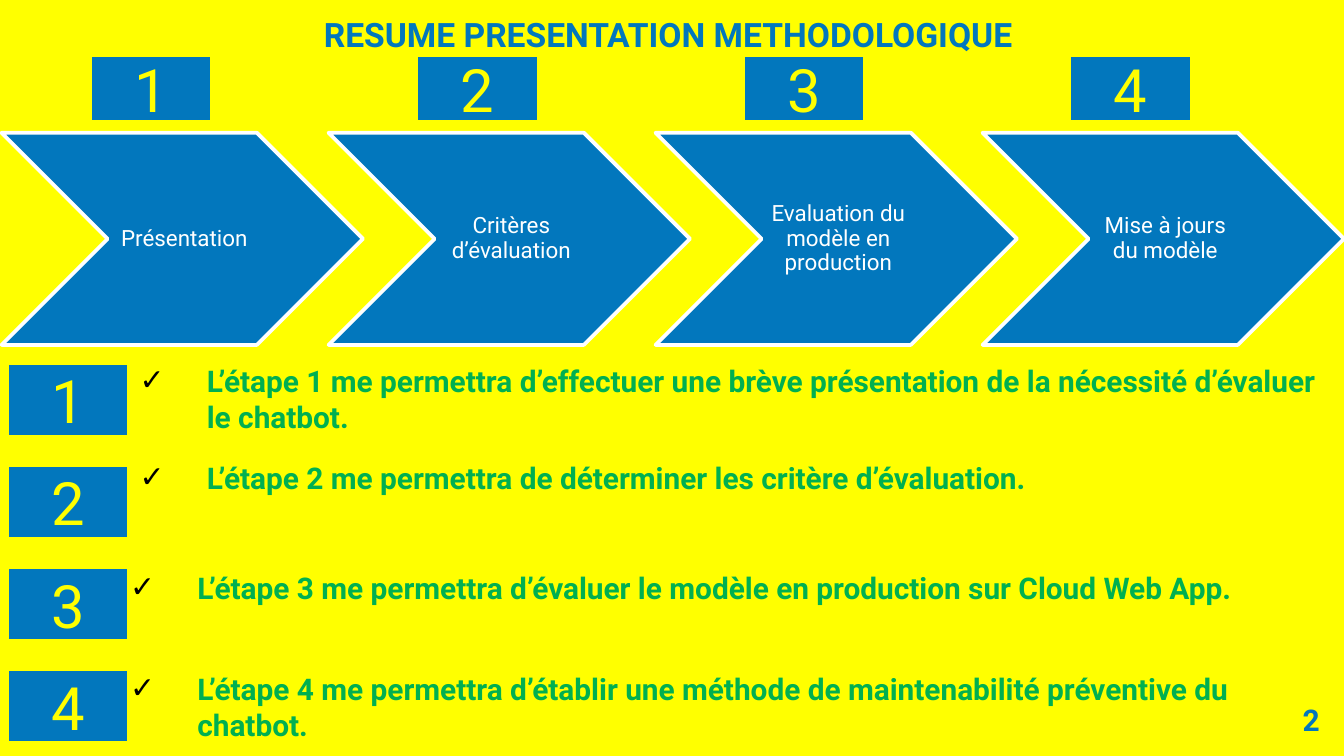
from lxml import etree
from pptx import Presentation
from pptx.dml.color import RGBColor
from pptx.enum.shapes import MSO_SHAPE
from pptx.enum.text import MSO_ANCHOR, MSO_AUTO_SIZE, PP_ALIGN
from pptx.oxml.ns import qn
from pptx.util import Cm, Pt

RECTANGLE, CHEVRON = MSO_SHAPE.RECTANGLE, MSO_SHAPE.CHEVRON
MIDDLE, TOP = MSO_ANCHOR.MIDDLE, MSO_ANCHOR.TOP
CENTER, RIGHT, LEFT = PP_ALIGN.CENTER, PP_ALIGN.RIGHT, PP_ALIGN.LEFT
NO_AUTOFIT = MSO_AUTO_SIZE.NONE

COLORS = {"yellow": "FFFF00", "blue": "0277BD", "green": "00B050",
          "white": "FFFFFF", "black": "000000"}
FONT = "Roboto"

TITLE = "RESUME PRESENTATION METHODOLOGIQUE"
PAGE_NUMBER = "2"
STEPS = [
    {"name": "Présentation", "left": 2.39, "top": 6.73, "height": 1.63,
     "detail": "L’étape 1 me permettra d’effectuer une brève présentation "
               "de la nécessité d’évaluer le chatbot."},
    {"name": "Critères d’évaluation", "left": 2.39, "top": 8.56, "height": 0.94,
     "detail": "L’étape 2 me permettra de déterminer les critère d’évaluation."},
    {"name": "Evaluation du modèle en production", "left": 2.21, "top": 10.64, "height": 0.94,
     "detail": "L’étape 3 me permettra d’évaluer le modèle en production sur Cloud Web App."},
    {"name": "Mise à jours du modèle", "left": 2.21, "top": 12.55, "height": 1.63,
     "detail": "L’étape 4 me permettra d’établir une méthode de maintenabilité "
               "préventive du chatbot."},
]

CHEVRON_LEFT, CHEVRON_PITCH = 0.03, 6.18
HEADER_LEFT, HEADER_PITCH = 1.7, 6.17
ROW_TOP, ROW_PITCH = 6.86, 1.93
NUMBER_WIDTH = 2.31


def color(name):
    return RGBColor.from_string(COLORS[name])


def place(shape, left, top, width, height):
    shape.left, shape.top = Cm(left), Cm(top)
    shape.width, shape.height = Cm(width), Cm(height)


def write(shape, text, size, color_name, bold=False, align=CENTER, anchor=MIDDLE):
    frame = shape.text_frame
    frame.text = text
    frame.word_wrap = True
    frame.auto_size = NO_AUTOFIT
    frame.vertical_anchor = anchor
    paragraph = frame.paragraphs[0]
    paragraph.alignment = align
    font = paragraph.runs[0].font
    font.name, font.size, font.bold = FONT, Pt(size), bold
    font.color.rgb = color(color_name)
    return paragraph


def set_margins(shape, left, other):
    frame = shape.text_frame
    frame.margin_left = Cm(left)
    frame.margin_top = frame.margin_right = frame.margin_bottom = Cm(other)


def add_block(slide, kind, box, line_name):
    shape = slide.shapes.add_shape(kind, *map(Cm, box))
    shape.shadow.inherit = False
    shape.fill.solid()
    shape.fill.fore_color.rgb = color("blue")
    shape.line.color.rgb = color(line_name)
    shape.line.width = Pt(2)
    return shape


def add_number(slide, number, left, top, height):
    shape = add_block(slide, RECTANGLE, (left, top, NUMBER_WIDTH, height), "yellow")
    write(shape, str(number), 32, "yellow")


def add_check_bullet(paragraph):
    properties = paragraph._p.get_or_add_pPr()
    properties.set("marL", str(Cm(1.27)))
    properties.set("indent", str(-Cm(1.27)))
    bullet_color = etree.SubElement(properties, qn("a:buClr"))
    etree.SubElement(bullet_color, qn("a:srgbClr"), val=COLORS["black"])
    etree.SubElement(properties, qn("a:buFont"), typeface=FONT)
    etree.SubElement(properties, qn("a:buChar"), char="✓")


def main():
    presentation = Presentation()
    presentation.slide_width, presentation.slide_height = Cm(25.4), Cm(14.29)
    slide = presentation.slides.add_slide(presentation.slide_layouts[5])
    slide.background.fill.solid()
    slide.background.fill.fore_color.rgb = color("yellow")

    title = slide.shapes.title
    place(title, 0.03, 0, 25.2, 1.3)
    set_margins(title, 0.25, 0.25)
    write(title, TITLE, 18, "blue", bold=True)

    page = slide.shapes.add_textbox(Cm(23.67), Cm(13.06), Cm(1.52), Cm(1.09))
    set_margins(page, 0.25, 0.25)
    write(page, PAGE_NUMBER, 16, "blue", bold=True, align=RIGHT)

    for index, step in enumerate(STEPS):
        chevron_box = (CHEVRON_LEFT + index * CHEVRON_PITCH, 2.51, 6.83, 4.01)
        chevron = add_block(slide, CHEVRON, chevron_box, "white")
        set_margins(chevron, 0.13, 0.05)
        write(chevron, step["name"], 12, "white").line_spacing = 0.9

        add_number(slide, index + 1, HEADER_LEFT + index * HEADER_PITCH, 1.04, 1.27)
        add_number(slide, index + 1, 0.13, ROW_TOP + index * ROW_PITCH, 1.4)

        detail = slide.shapes.add_textbox(
            Cm(step["left"]), Cm(step["top"]), Cm(22.81), Cm(step["height"]))
        add_check_bullet(write(detail, step["detail"], 16, "green",
                               bold=True, align=LEFT, anchor=TOP))

    presentation.save("out.pptx")


if __name__ == "__main__":
    main()
